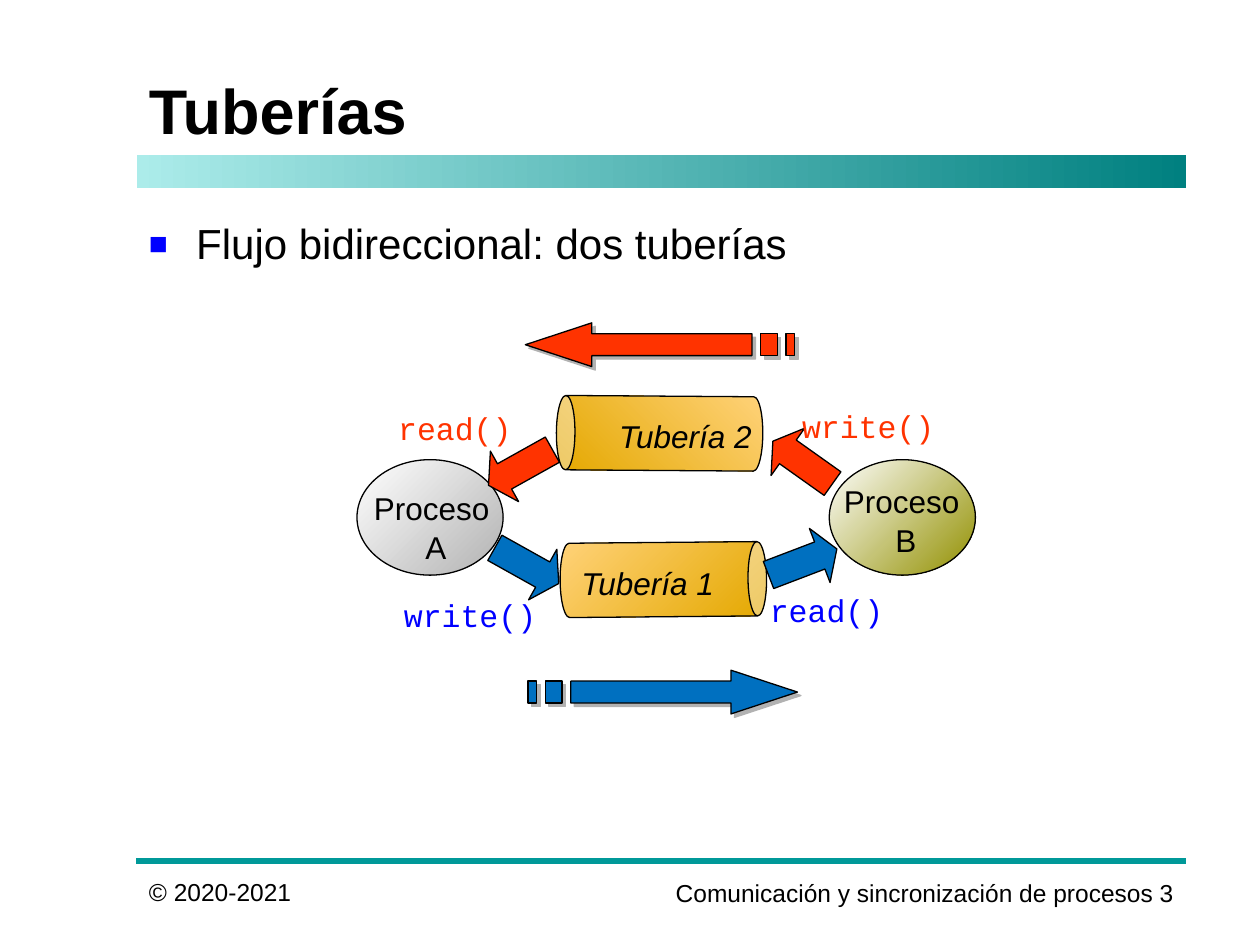
"""Build a slide on bidirectional flow between two processes through two pipes."""
from dataclasses import dataclass

from lxml import etree
from pptx import Presentation
from pptx.dml.color import RGBColor
from pptx.enum.shapes import MSO_CONNECTOR, MSO_SHAPE
from pptx.enum.text import MSO_ANCHOR, PP_ALIGN
from pptx.oxml.ns import qn
from pptx.shapes.autoshape import Shape
from pptx.slide import Slide
from pptx.util import Pt

ELLIPSE, CAN = MSO_SHAPE.OVAL, MSO_SHAPE.CAN
ARROW, RECTANGLE = MSO_SHAPE.RIGHT_ARROW, MSO_SHAPE.RECTANGLE
STRAIGHT = MSO_CONNECTOR.STRAIGHT
TOP, MIDDLE = MSO_ANCHOR.TOP, MSO_ANCHOR.MIDDLE
LEFT, CENTER = PP_ALIGN.LEFT, PP_ALIGN.CENTER
RIGHT, JUSTIFY = PP_ALIGN.RIGHT, PP_ALIGN.JUSTIFY

BLACK = RGBColor(0x00, 0x00, 0x00)
WHITE = RGBColor(0xFF, 0xFF, 0xFF)
GRAY = RGBColor(0xB2, 0xB2, 0xB2)
OLIVE = RGBColor(0x92, 0x90, 0x00)
LIGHT_GOLD = RGBColor(0xFF, 0xD2, 0x79)
GOLD = RGBColor(0xE4, 0xA8, 0x00)
LIGHT_TEAL = RGBColor(0xAC, 0xEC, 0xEA)
DARK_TEAL = RGBColor(0x00, 0x80, 0x80)
TEAL = RGBColor(0x00, 0x99, 0x99)
BLUE = RGBColor(0x00, 0x70, 0xC0)
CODE_BLUE = RGBColor(0x00, 0x00, 0xFF)
RED = RGBColor(0xFF, 0x33, 0x00)

SANS, MONO = "Arial", "Courier New"
MARGIN, CONTENT_WIDTH = 78, 600
INDENT = 27


@dataclass(frozen=True)
class Box:
    left: float
    top: float
    width: float
    height: float

    def lengths(self) -> tuple[Pt, ...]:
        return tuple(Pt(v) for v in (self.left, self.top, self.width, self.height))


@dataclass(frozen=True)
class TextStyle:
    size: float
    font: str = SANS
    color: RGBColor = BLACK
    bold: bool = False
    italic: bool = False
    align: PP_ALIGN = LEFT
    indent: float = 0
    line_spacing: float = 1.0
    before: float = 0
    after: float = 0


@dataclass(frozen=True)
class Process:
    name: str
    left: float
    text_left: float
    text_top: float
    color: RGBColor


@dataclass(frozen=True)
class Pipe:
    left: float
    top: float
    rotation: float
    flipped: bool


@dataclass(frozen=True)
class BlockArrow:
    left: float
    top: float
    rotation: float
    color: RGBColor


@dataclass(frozen=True)
class Label:
    text: str
    left: float
    top: float
    color: RGBColor = BLACK
    font: str = SANS
    italic: bool = False


PROCESSES = (
    Process("A", 204, 192.25, 280.8, GRAY),
    Process("B", 473.9, 460.8, 277.2, OLIVE),
)
PIPES = (Pipe(357.8, 272.2, 89.5, False), Pipe(355.7, 188.6, 270.4, True))
BLOCK_ARROWS = (
    BlockArrow(280.1, 306.7, 29.2, BLUE),
    BlockArrow(437.8, 304.6, 339.1, BLUE),
    BlockArrow(437.8, 247.7, 215.4, RED),
    BlockArrow(276.5, 250.6, 150.8, RED),
)
LABELS = (
    Label("Tubería 1", 320.4, 308.2, italic=True),
    Label("Tubería 2", 342, 223.9, italic=True),
    Label("write()", 218.9, 326.2, CODE_BLUE, MONO),
    Label("read()", 422.6, 323.3, CODE_BLUE, MONO),
    Label("read()", 210.2, 219.6, RED, MONO),
    Label("write()", 446.4, 218.2, RED, MONO),
)


def add_text(slide: Slide, box: Box, lines: tuple[str, ...], style: TextStyle,
             anchor: MSO_ANCHOR = TOP) -> Shape:
    shape = slide.shapes.add_textbox(*box.lengths())
    frame = shape.text_frame
    frame.word_wrap = True
    frame.vertical_anchor = anchor
    frame.text = "\n".join(lines)
    for index, paragraph in enumerate(frame.paragraphs):
        paragraph.alignment = style.align
        paragraph.line_spacing = style.line_spacing
        paragraph.space_before = Pt(0 if index else style.before)
        paragraph.space_after = Pt(style.after)
        font = paragraph.font
        font.name, font.size = style.font, Pt(style.size)
        font.bold, font.italic = style.bold, style.italic
        font.color.rgb = style.color
        if style.indent:
            properties = paragraph._p.get_or_add_pPr()
            properties.set("marL", str(Pt(style.indent)))
            properties.set("indent", str(-Pt(style.indent)))
    return shape


def add_square_bullet(shape: Shape, color: RGBColor) -> None:
    properties = shape.text_frame.paragraphs[0]._p.get_or_add_pPr()
    bullet_color = etree.SubElement(properties, qn("a:buClr"))
    etree.SubElement(bullet_color, qn("a:srgbClr"), val=str(color))
    etree.SubElement(properties, qn("a:buSzPct"), val="75000")
    etree.SubElement(properties, qn("a:buFont"), typeface=SANS)
    etree.SubElement(properties, qn("a:buChar"), char="■")
    properties.append(properties.find(qn("a:defRPr")))


def outline(shape: Shape) -> None:
    shape.shadow.inherit = False
    shape.line.color.rgb = BLACK
    shape.line.width = Pt(0.75)


def fill_gradient(shape: Shape, start: RGBColor, end: RGBColor, angle: float) -> None:
    shape.fill.gradient()
    shape.fill.gradient_angle = angle
    for stop, color in zip(shape.fill.gradient_stops, (start, end)):
        stop.color.rgb = color


def add_process(slide: Slide, process: Process) -> None:
    shape = slide.shapes.add_shape(ELLIPSE, *Box(process.left, 262.7, 83.5, 66).lengths())
    outline(shape)
    fill_gradient(shape, WHITE, process.color, 315)
    style = TextStyle(18, align=CENTER, indent=INDENT, line_spacing=0.75, before=22.5, after=6)
    add_text(slide, Box(process.text_left, process.text_top, 113.75, 46),
             ("Proceso ", process.name), style)


def add_pipe(slide: Slide, pipe: Pipe) -> None:
    shape = slide.shapes.add_shape(CAN, *Box(pipe.left, pipe.top, 42.5, 118).lengths())
    shape.adjustments[0] = 0.25
    shape.rotation = pipe.rotation
    outline(shape)
    fill_gradient(shape, LIGHT_GOLD, GOLD, 315)
    properties = shape.element.spPr
    properties.find(qn("a:gradFill")).set("rotWithShape", "0")
    if pipe.flipped:
        properties.find(qn("a:xfrm")).set("flipH", "1")


def add_block_arrow(slide: Slide, arrow: BlockArrow) -> None:
    shape = slide.shapes.add_shape(ARROW, *Box(arrow.left, arrow.top, 41.8, 33.1).lengths())
    shape.adjustments[0], shape.adjustments[1] = 0.5, 0.316
    shape.rotation = arrow.rotation
    outline(shape)
    shape.fill.solid()
    shape.fill.fore_color.rgb = arrow.color


def add_striped_arrow(slide: Slide, tail: float, top: float, direction: int,
                      color: RGBColor) -> None:
    upper, lower, bottom, neck, tip = 6.25, 18.75, 25, 116, 154
    stripes = [[(a, upper), (b, upper), (b, lower), (a, lower)] for a, b in ((0, 5), (10, 19.5))]
    body = [(24.5, upper), (neck, upper), (neck, 0), (tip, bottom / 2),
            (neck, bottom), (neck, lower), (24.5, lower)]
    contours = [[(Pt(tail + direction * x), Pt(top + y)) for x, y in contour]
                for contour in (body, *stripes)]
    builder = slide.shapes.build_freeform(*contours[0][0])
    for index, contour in enumerate(contours):
        if index:
            builder.move_to(*contour[0])
        builder.add_line_segments(contour[1:], close=True)
    shape = builder.convert_to_shape()
    outline(shape)
    shape.fill.solid()
    shape.fill.fore_color.rgb = color
    effects = shape.element.spPr.find(qn("a:effectLst"))
    shadow = etree.SubElement(effects, qn("a:outerShdw"), dist=str(Pt(2.8)),
                              dir="2700000", algn="ctr", rotWithShape="0")
    etree.SubElement(shadow, qn("a:srgbClr"), val=str(GRAY))


def add_frame(slide: Slide) -> None:
    add_text(slide, Box(MARGIN, 497.5, 240, 24), ("© 2020-2021",),
             TextStyle(14, align=JUSTIFY, indent=INDENT, before=8.8, after=6))
    rule = slide.shapes.add_connector(STRAIGHT, Pt(MARGIN), Pt(492),
                                      Pt(MARGIN + CONTENT_WIDTH), Pt(492))
    rule.line.color.rgb = TEAL
    rule.line.width = Pt(3)
    etree.SubElement(rule.element.spPr, qn("a:effectLst"))
    band = slide.shapes.add_shape(RECTANGLE, *Box(MARGIN, 88.5, CONTENT_WIDTH, 18.75).lengths())
    band.shadow.inherit = False
    band.line.fill.background()
    fill_gradient(band, LIGHT_TEAL, DARK_TEAL, 0)
    add_text(slide, Box(348, 492, 330, 36), ("Comunicación y sincronización de procesos 3",),
             TextStyle(14, align=RIGHT), MIDDLE)
    add_text(slide, Box(MARGIN, 36, CONTENT_WIDTH, 52.5), ("Tuberías",),
             TextStyle(36, bold=True), MIDDLE)
    body = add_text(slide, Box(MARGIN, 121, CONTENT_WIDTH, 353.5),
                    ("Flujo bidireccional: dos tuberías",),
                    TextStyle(24, indent=INDENT, before=6))
    add_square_bullet(body, CODE_BLUE)


def main() -> None:
    presentation = Presentation()
    presentation.slide_width, presentation.slide_height = Pt(720), Pt(540)
    slide = presentation.slides.add_slide(presentation.slide_layouts[6])
    add_frame(slide)
    for process in PROCESSES:
        add_process(slide, process)
    for pipe in PIPES:
        add_pipe(slide, pipe)
    add_striped_arrow(slide, 301.7, 383, 1, BLUE)
    add_striped_arrow(slide, 454.2, 184.5, -1, RED)
    for arrow in BLOCK_ARROWS:
        add_block_arrow(slide, arrow)
    for label in LABELS:
        style = TextStyle(18, label.font, label.color, italic=label.italic, align=CENTER,
                          indent=INDENT, line_spacing=1.5, before=22.5, after=6)
        add_text(slide, Box(label.left, label.top, 99.4, 56), (label.text,), style)
    presentation.save("out.pptx")


if __name__ == "__main__":
    main()
